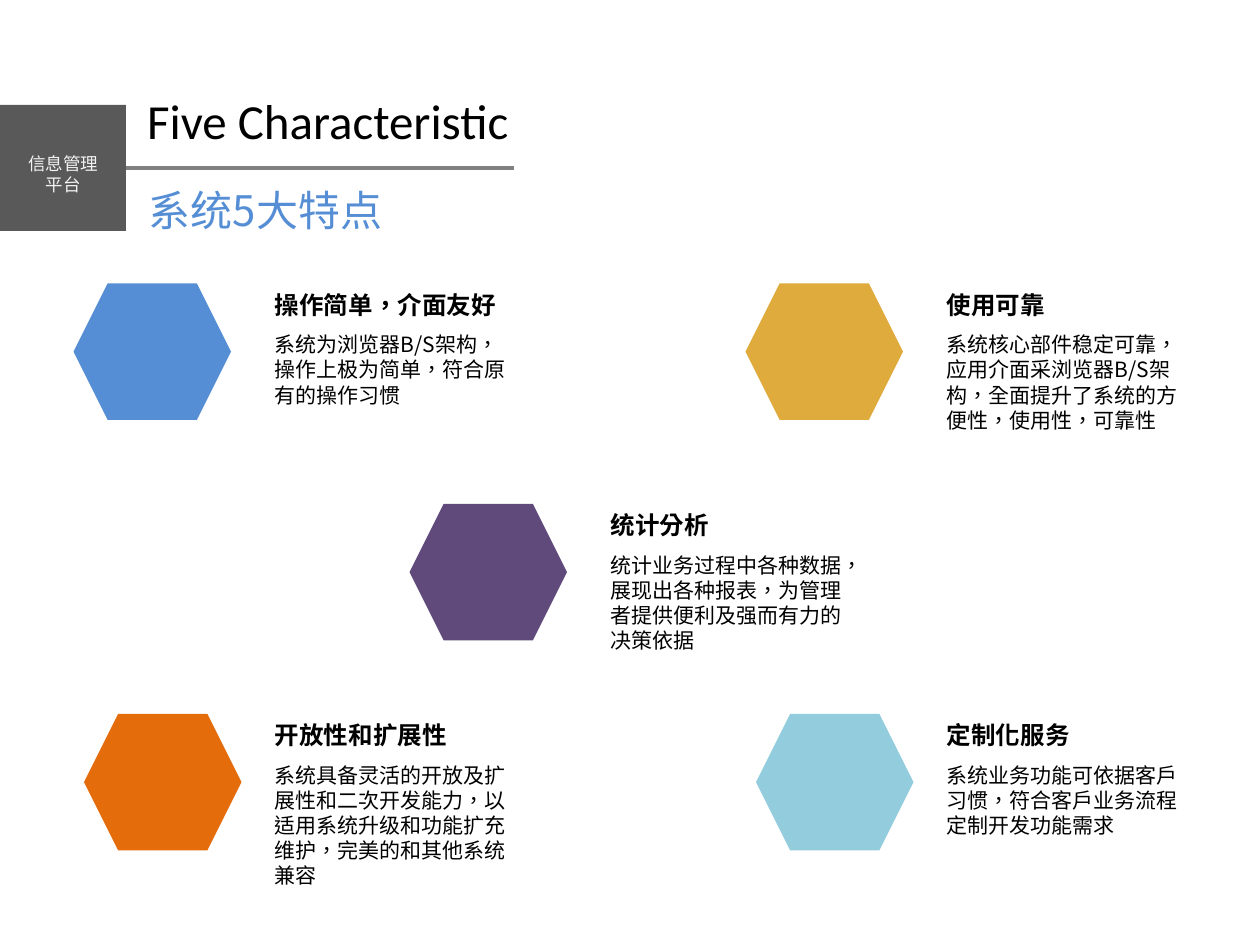
"""Build the slide on the five characteristics of the system."""
from lxml import etree
from pptx import Presentation
from pptx.dml.color import RGBColor
from pptx.enum import shapes, text
from pptx.oxml import ns
from pptx.util import Pt

CJK = "Noto Sans CJK SC"


def add_text(words, left, top, width, height, size=12, color="000000",
             font=CJK, bold=False, align=text.PP_ALIGN.LEFT):
    box = page.shapes.add_textbox(Pt(left), Pt(top), Pt(width), Pt(height))
    frame = box.text_frame
    frame.word_wrap = True
    frame.auto_size = text.MSO_AUTO_SIZE.SHAPE_TO_FIT_TEXT
    para = frame.paragraphs[0]
    para.alignment = align
    span = para.add_run()
    span.text = words
    span.font.size = Pt(size)
    span.font.bold = bold
    span.font.name = font
    span.font.color.rgb = RGBColor.from_string(color)
    properties = span.font._element
    properties.set("lang", "zh-TW")
    etree.SubElement(properties, ns.qn("a:ea")).set("typeface", CJK)


def add_block(kind, left, top, width, height, color):
    block = page.shapes.add_shape(kind, Pt(left), Pt(top), Pt(width), Pt(height))
    block.shadow.inherit = False
    block.fill.solid()
    block.fill.fore_color.rgb = RGBColor.from_string(color)
    block.line.fill.background()


deck = Presentation()
deck.slide_width, deck.slide_height = Pt(720), Pt(540)
page = deck.slides.add_slide(deck.slide_layouts[6])

rule = page.shapes.add_connector(
    shapes.MSO_CONNECTOR.STRAIGHT, Pt(36), Pt(96), Pt(294), Pt(96))
rule.line.color.rgb = RGBColor.from_string("808080")
rule.line.width = Pt(2)
etree.SubElement(rule._element.spPr, ns.qn("a:effectLst"))

add_block(shapes.MSO_SHAPE.RECTANGLE, 0, 60, 72, 72, "595959")
add_text("信息管理平台", 6, 84, 60, 32, size=10, color="F2F2F2", font="Lato",
         align=text.PP_ALIGN.CENTER)
add_text("Five Characteristic", 77, 48, 271, 41, size=28, font="Calibri")
add_text("系统5大特点", 78, 102, 198, 36, size=24, color="558ED5")

features = [
    (150, 162, 108, "558ED5", 51, "操作简单，介面友好",
     "系统为浏览器B/S架构，操作上极为简单，符合原有的操作习惯"),
    (342, 288, 108, "604A7B", 66, "统计分析",
     "统计业务过程中各种数据，展现出各种报表，为管理者提供便利及强而有力的决策依据"),
    (534, 162, 108, "DEAB3C", 66, "使用可靠",
     "系统核心部件稳定可靠，应用介面采浏览器B/S架构，全面提升了系统的方便性，使用性，可靠性"),
    (150, 408, 102, "E46C0A", 80, "开放性和扩展性",
     "系统具备灵活的开放及扩展性和二次开发能力，以适用系统升级和功能扩充维护，完美的和其他系统兼容"),
    (534, 408, 102, "93CDDD", 51, "定制化服务",
     "系统业务功能可依据客户习惯，符合客户业务流程定制开发功能需求"),
]
for left, top, offset, color, height, heading, detail in features:
    add_block(shapes.MSO_SHAPE.HEXAGON, left - offset, top, 90, 78, color)
    add_text(heading, left, top, 150, 24, size=14, bold=True)
    add_text(detail, left, top + 24, 150, height)

deck.save("out.pptx")
